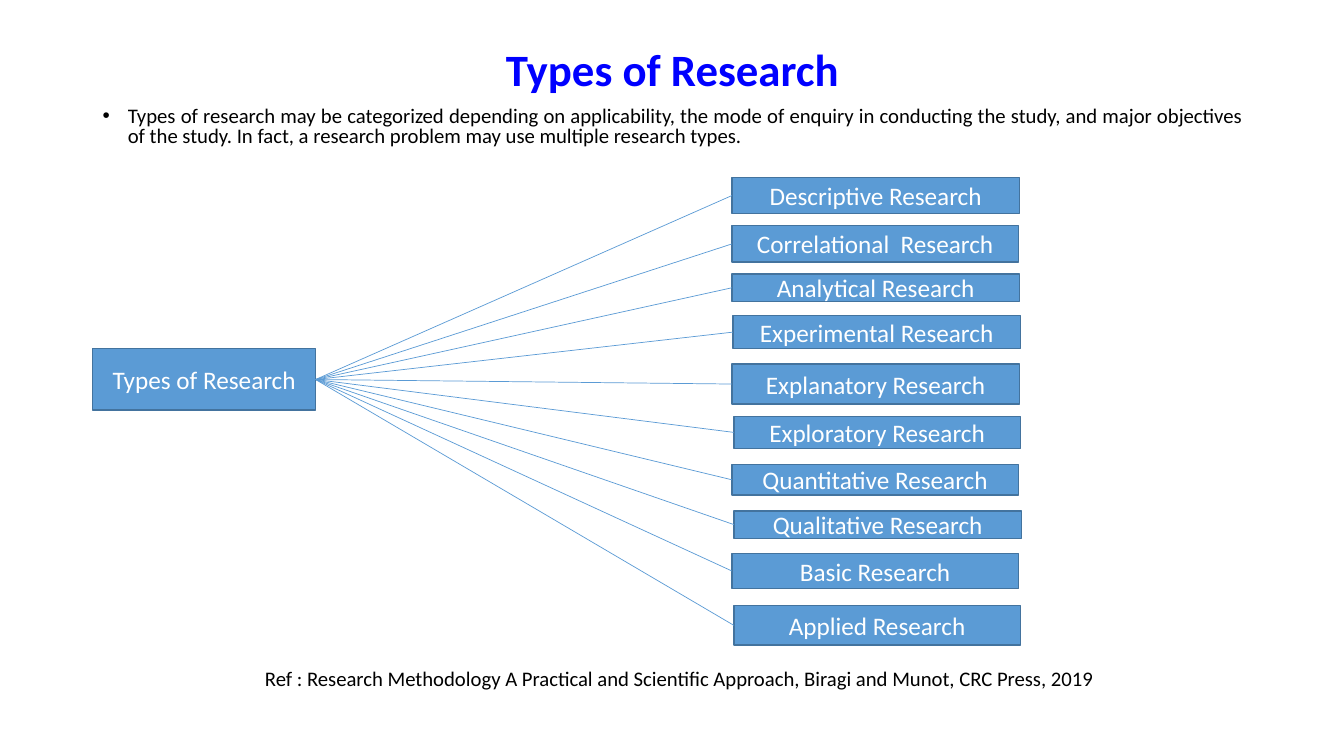
import pptx
import pptx.util
import pptx.dml.color
import pptx.enum.shapes
import pptx.enum.text
import pptx.oxml
import pptx.oxml.ns

Inches = pptx.util.Inches
Pt = pptx.util.Pt
ALIGN = pptx.enum.text.PP_ALIGN
ANCHOR = pptx.enum.text.MSO_ANCHOR

COLORS = {
    "title": "0000FF",
    "text": "000000",
    "fill": "5B9BD5",
    "outline": "43739E",
    "label": "FFFFFF",
}

INTRO = (
    "Types of research may be categorized depending on applicability, the mode of "
    "enquiry in conducting the study, and major objectives of the study. In fact, "
    "a research problem may use multiple research types."
)
REFERENCE = (
    "Ref : Research Methodology A Practical and Scientific Approach, "
    "Biragi and Munot, CRC Press, 2019"
)

RESEARCH_TYPES = [
    ("Descriptive Research", 7.26, 1.76, 2.85, 0.36),
    ("Correlational  Research", 7.26, 2.24, 2.84, 0.36),
    ("Analytical Research", 7.26, 2.72, 2.85, 0.27),
    ("Experimental Research", 7.27, 3.13, 2.85, 0.33),
    ("Explanatory Research", 7.26, 3.61, 2.85, 0.4),
    ("Exploratory Research", 7.28, 4.13, 2.84, 0.32),
    ("Quantitative Research", 7.26, 4.61, 2.84, 0.3),
    ("Qualitative Research", 7.28, 5.07, 2.85, 0.27),
    ("Basic Research", 7.26, 5.49, 2.84, 0.35),
    ("Applied Research", 7.28, 6.01, 2.84, 0.39),
]
RIGHT_SITE = 3
LEFT_SITE = 1


def rgb(name):
    return pptx.dml.color.RGBColor.from_string(COLORS[name])


def write(box, text, size, color, align, anchor, bold=False):
    frame = box.text_frame
    frame.text = text
    frame.word_wrap = True
    frame.vertical_anchor = anchor
    para = frame.paragraphs[0]
    para.alignment = align
    for span in para.runs:
        span.font.name = "Calibri"
        span.font.size = Pt(size)
        span.font.bold = bold
        span.font.color.rgb = rgb(color)
    return para


def add_title(page):
    title = page.shapes.title
    title.left, title.top = Inches(0.92), Inches(0.4)
    title.width, title.height = Inches(11.5), Inches(0.62)
    para = write(title, "Types of Research", 32, "title", ALIGN.CENTER, ANCHOR.MIDDLE, True)
    para.line_spacing = 0.9


def add_text(page, text, left, top, width, height, align):
    box = page.shapes.add_textbox(Inches(left), Inches(top), Inches(width), Inches(height))
    para = write(box, text, 14.8, "text", align, ANCHOR.TOP)
    para.line_spacing = 0.8
    return para


def add_bullet(para):
    properties = para._p.get_or_add_pPr()
    properties.set("marL", str(Inches(0.25)))
    properties.set("indent", str(Inches(-0.25)))
    namespace = pptx.oxml.ns.nsdecls("a")
    for element in ('<a:buFont %s typeface="Arial"/>', '<a:buChar %s char="•"/>'):
        properties.append(pptx.oxml.parse_xml(element % namespace))


def add_node(page, text, left, top, width, height):
    node = page.shapes.add_shape(
        pptx.enum.shapes.MSO_SHAPE.RECTANGLE,
        Inches(left), Inches(top), Inches(width), Inches(height),
    )
    node.shadow.inherit = False
    node.fill.solid()
    node.fill.fore_color.rgb = rgb("fill")
    node.line.color.rgb = rgb("outline")
    node.line.width = Pt(1)
    write(node, text, 18, "label", ALIGN.CENTER, ANCHOR.MIDDLE)
    return node


def add_branch(page, root, node):
    branch = page.shapes.add_connector(
        pptx.enum.shapes.MSO_CONNECTOR.STRAIGHT, 0, 0, 0, 0
    )
    branch.begin_connect(root, RIGHT_SITE)
    branch.end_connect(node, LEFT_SITE)
    branch.line.color.rgb = rgb("fill")
    branch.line.width = Pt(0.5)
    effects = "<a:effectLst %s/>" % pptx.oxml.ns.nsdecls("a")
    branch._element.spPr.append(pptx.oxml.parse_xml(effects))


def main():
    deck = pptx.Presentation()
    deck.slide_width, deck.slide_height = Inches(13.33), Inches(7.5)
    page = deck.slides.add_slide(deck.slide_layouts.get_by_name("Title Only"))
    add_title(page)
    add_bullet(add_text(page, INTRO, 0.92, 1.02, 11.5, 0.5, ALIGN.JUSTIFY))
    root = add_node(page, "Types of Research", 0.92, 3.46, 2.21, 0.61)
    nodes = [add_node(page, *research_type) for research_type in RESEARCH_TYPES]
    for node in nodes:
        add_branch(page, root, node)
    add_text(page, REFERENCE, 2.53, 6.6, 8.6, 0.3, ALIGN.LEFT)
    deck.save("out.pptx")


if __name__ == "__main__":
    main()
